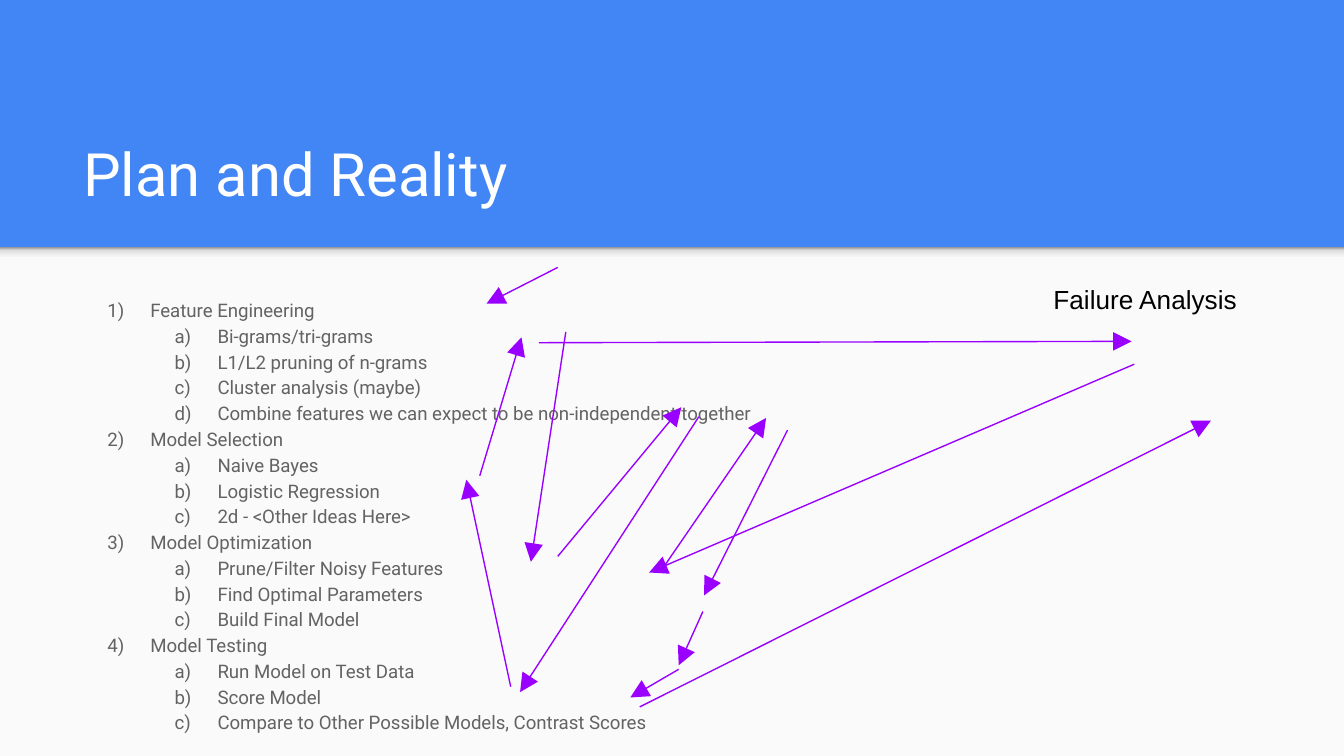
"""Builds the Plan and Reality slide: a numbered plan crossed by the route really taken."""
import copy

import lxml.etree
import pptx
import pptx.dml.color
import pptx.enum.dml
import pptx.enum.shapes
import pptx.enum.text
import pptx.oxml.ns
import pptx.util

RGB = pptx.dml.color.RGBColor
BLUE = RGB(0x42, 0x85, 0xF4)
PAPER = RGB(0xFA, 0xFA, 0xFA)
GRAY = RGB(0x63, 0x63, 0x63)
PURPLE = RGB(0x99, 0x00, 0xFF)
WHITE = RGB(0xFF, 0xFF, 0xFF)
BLACK = RGB(0x00, 0x00, 0x00)
SHADE = [
    (0, RGB(0xF9, 0xF9, 0xF9)),
    (0.36, RGB(0xF9, 0xF9, 0xF9)),
    (0.8, RGB(0xDE, 0xDE, 0xDE)),
    (1, RGB(0x99, 0x99, 0x99)),
]
PLAN = [
    ("Feature Engineering", [
        "Bi-grams/tri-grams",
        "L1/L2 pruning of n-grams",
        "Cluster analysis (maybe)",
        "Combine features we can expect to be non-independent together",
    ]),
    ("Model Selection", ["Naive Bayes", "Logistic Regression", "2d - <Other Ideas Here>"]),
    ("Model Optimization", [
        "Prune/Filter Noisy Features",
        "Find Optimal Parameters",
        "Build Final Model",
    ]),
    ("Model Testing", [
        "Run Model on Test Data",
        "Score Model",
        "Compare to Other Possible Models, Contrast Scores",
    ]),
]
ROUTE = [
    (41.5, 19.9, 36.2, 22.6),
    (42.1, 24.7, 39.5, 41.8),
    (41.5, 41.4, 50.7, 30.3),
    (52, 31, 38.7, 51.5),
    (38, 51.1, 34.7, 35.7),
    (35.7, 35.4, 38.8, 25.1),
    (40.1, 25.5, 84.2, 25.4),
    (84.4, 27.1, 48.3, 42.6),
    (49.1, 42.6, 57, 31.1),
    (58.6, 32, 52.4, 44.3),
    (52.3, 45.5, 50.5, 49.5),
    (50.5, 49.8, 46.9, 51.9),
    (47.6, 52.6, 90.1, 31.3),
]

prs = pptx.Presentation()
prs.slide_width = pptx.util.Inches(10)
CELL = prs.slide_width // 100
prs.slide_height = int(56.25 * CELL)
s = prs.slides.add_slide(prs.slide_layouts[6])
s.background.fill.solid()
s.background.fill.fore_color.rgb = BLUE


def cells(*counts):
    return [int(n * CELL) for n in counts]


def add_text(tf, p, text, size, font, color):
    tf.word_wrap = True
    tf.margin_left = tf.margin_right = tf.margin_top = tf.margin_bottom = CELL
    r = p.add_run()
    r.text = text
    r.font.size = pptx.util.Pt(size)
    r.font.name = font
    r.font.color.rgb = color


for height in (37.85, 1.2):
    sp = s.shapes.add_shape(
        pptx.enum.shapes.MSO_SHAPE.RECTANGLE, *cells(0, 18.4, 100, height))
    sp.shadow.inherit = False
    sp.line.fill.background()
    sp.fill.solid()
    sp.fill.fore_color.rgb = PAPER

sp.fill.gradient()
sp.fill.gradient_angle = 90
stops = sp._element.spPr.find(".//" + pptx.oxml.ns.qn("a:gsLst"))
while len(stops) < len(SHADE):
    stops.append(copy.deepcopy(stops[0]))
for stop, (position, color) in zip(sp.fill.gradient_stops, SHADE):
    stop.position = position
    stop.color.rgb = color

tf = s.shapes.add_textbox(*cells(5.2, 21, 89.9, 29.6)).text_frame
rows = [row for head, subs in PLAN for row in [(0, head)] + [(1, sub) for sub in subs]]
for i, (level, text) in enumerate(rows):
    p = tf.add_paragraph() if i else tf.paragraphs[0]
    p.level = level
    p.line_spacing = 1.15
    add_text(tf, p, text, 10, "Roboto", GRAY)
    pPr = p._p.get_or_add_pPr()
    pPr.set("marL", str(5 * CELL * (level + 1)))
    pPr.set("indent", str(int(-3.2 * CELL)))
    buClr = lxml.etree.SubElement(pPr, pptx.oxml.ns.qn("a:buClr"))
    lxml.etree.SubElement(buClr, pptx.oxml.ns.qn("a:srgbClr"), val=str(GRAY))
    lxml.etree.SubElement(pPr, pptx.oxml.ns.qn("a:buAutoNum"),
                          type=("arabicParenR", "alphaLcParenR")[level])

for leg in ROUTE:
    cxn = s.shapes.add_connector(pptx.enum.shapes.MSO_CONNECTOR.STRAIGHT, *cells(*leg))
    cxn.line.color.rgb = PURPLE
    cxn.line.width = pptx.util.Pt(0.75)
    lxml.etree.SubElement(cxn.line._get_or_add_ln(), pptx.oxml.ns.qn("a:tailEnd"),
                          type="triangle", w="lg", len="lg")
    lxml.etree.SubElement(cxn._element.spPr, pptx.oxml.ns.qn("a:effectLst"))

tf = s.shapes.add_textbox(*cells(77.4, 20.1, 19.4, 7.7)).text_frame
add_text(tf, tf.paragraphs[0], "Failure Analysis", 14, "Arial", BLACK)

tf = s.shapes.add_textbox(*cells(5.2, 8.1, 89.9, 8.4)).text_frame
tf.vertical_anchor = pptx.enum.text.MSO_ANCHOR.BOTTOM
add_text(tf, tf.paragraphs[0], "Plan and Reality", 32, "Roboto", WHITE)

prs.save("out.pptx")
